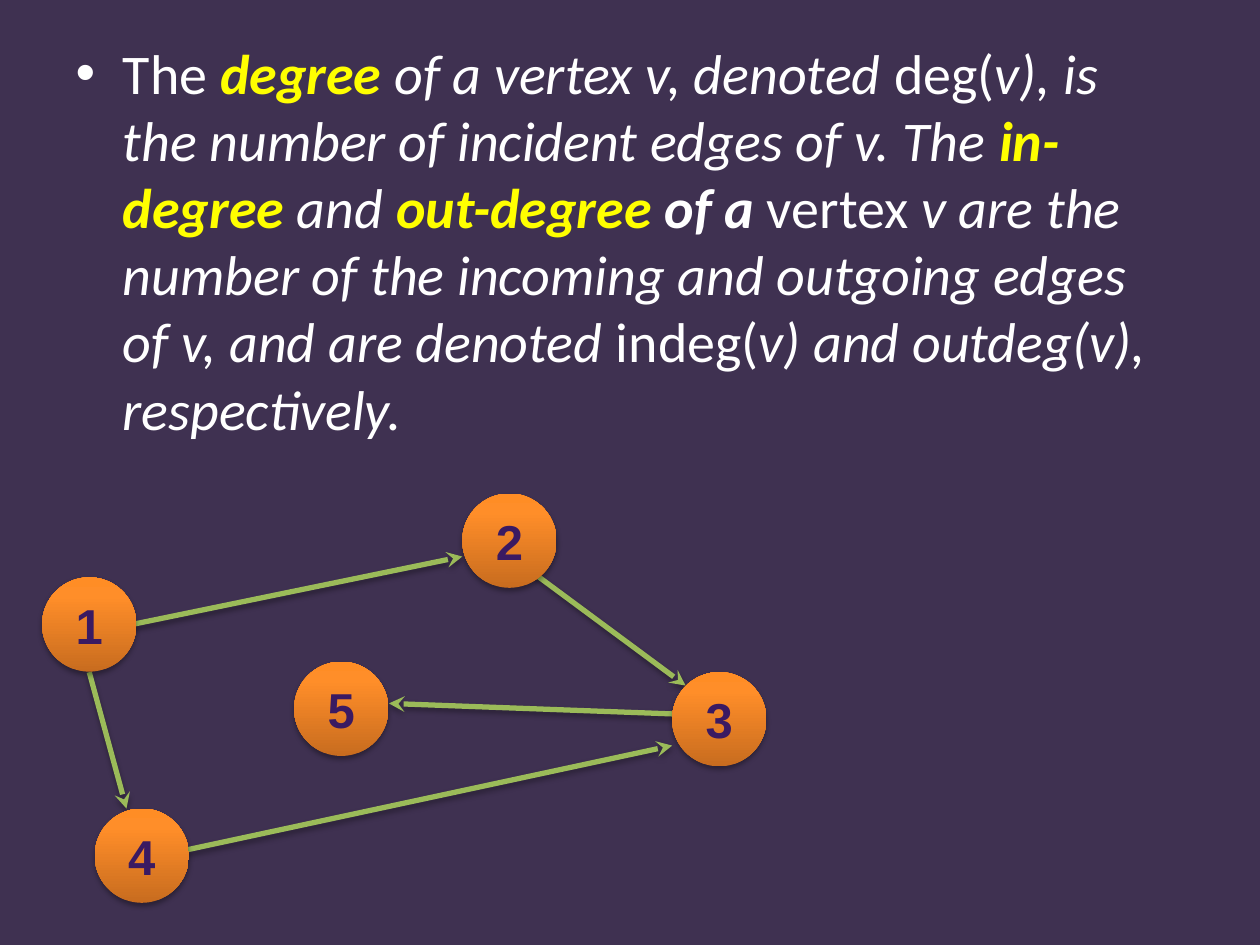
import copy

import lxml.etree
import pptx
import pptx.dml.color
import pptx.enum.shapes
import pptx.enum.text
import pptx.oxml
import pptx.oxml.ns
import pptx.util

Cm = pptx.util.Cm
NAMESPACE = pptx.oxml.ns.nsdecls("a")
qn = pptx.oxml.ns.qn

BACKGROUND, WHITE, YELLOW = "3F3151", "FFFFFF", "FFFF00"
EDGE_COLOR, LABEL_COLOR = "9BBB59", "3A1A62"
NODE_GRADIENT = [(0, "C86C1F"), (0.8, "FF8E29"), (1, "FF8D25")]
NODE_SIZE = 1.9

PLAIN = {"color": WHITE, "bold": False, "italic": False}
ITALIC = {"color": WHITE, "bold": False, "italic": True}
STRONG = {"color": WHITE, "bold": True, "italic": True}
TERM = {"color": YELLOW, "bold": True, "italic": True}
DEFINITION = [
    ("The ", PLAIN),
    ("degree ", TERM),
    ("of a vertex v, denoted ", ITALIC),
    ("deg(", PLAIN),
    ("v), is the number of incident edges of v. The ", ITALIC),
    ("in-degree ", TERM),
    ("and ", ITALIC),
    ("out-degree", TERM),
    (" of a ", STRONG),
    ("vertex ", PLAIN),
    ("v are the number of the incoming and outgoing edges of v, and are denoted ", ITALIC),
    ("indeg(", PLAIN),
    ("v) and outdeg(v), respectively.", ITALIC),
]

NODES = {"1": (0, 1.69), "5": (5.08, 3.39), "4": (1.06, 6.35), "3": (12.7, 3.6), "2": (8.47, 0)}
EDGES = [
    ((1.27, 2.75), (8.47, 1.27)),
    ((1.9, 7.4), (12.7, 5.08)),
    ((12.91, 4.45), (6.99, 4.23)),
    ((0.95, 3.6), (1.7, 6.35)),
    ((9.74, 1.48), (12.97, 3.87)),
]


def rgb(value):
    """Return the colour for a hex string."""
    return pptx.dml.color.RGBColor.from_string(value)


def format_font(font, values):
    """Apply a dict of format values to a font."""
    for name, value in values.items():
        if name == "color":
            font.color.rgb = rgb(value)
        else:
            setattr(font, name, value)


def add_shadow(shape):
    """Give a shape or connector a soft shadow below it."""
    shape._element.spPr.append(pptx.oxml.parse_xml(
        f'<a:effectLst {NAMESPACE}><a:outerShdw blurRad="40000" dist="23000" dir="5400000" '
        'rotWithShape="0"><a:srgbClr val="000000"><a:alpha val="35000"/></a:srgbClr>'
        '</a:outerShdw></a:effectLst>'))


def add_definition(slide, left, top, width, height):
    """Fill the body placeholder with the bulleted definition."""
    body = slide.placeholders[1]
    box = {"left": Cm(left), "top": Cm(top), "width": Cm(width), "height": Cm(height)}
    for name, value in box.items():
        setattr(body, name, value)
    paragraph = body.text_frame.paragraphs[0]
    properties = paragraph._p.get_or_add_pPr()
    properties.set("marL", str(Cm(0.95)))
    properties.set("indent", str(Cm(-0.95)))
    for bullet in (f'<a:buClr {NAMESPACE}><a:srgbClr val="{WHITE}"/></a:buClr>',
                   f'<a:buFont {NAMESPACE} typeface="Arial"/>',
                   f'<a:buChar {NAMESPACE} char="•"/>'):
        properties.append(pptx.oxml.parse_xml(bullet))
    for text, style in DEFINITION:
        run = paragraph.add_run()
        run.text = text
        format_font(run.font, {"name": "Calibri", "size": pptx.util.Pt(32), **style})


def add_edge(slide, left, top, start, end):
    """Draw a directed edge between two points of the graph's box."""
    edge = slide.shapes.add_connector(
        pptx.enum.shapes.MSO_CONNECTOR.STRAIGHT,
        Cm(left + start[0]), Cm(top + start[1]), Cm(left + end[0]), Cm(top + end[1]))
    edge.line.color.rgb = rgb(EDGE_COLOR)
    edge.line.width = pptx.util.Pt(3)
    lxml.etree.SubElement(edge.line._get_or_add_ln(), qn("a:tailEnd"), type="stealth")
    add_shadow(edge)


def add_node(slide, left, top, label):
    """Draw a numbered vertex."""
    node = slide.shapes.add_shape(
        pptx.enum.shapes.MSO_SHAPE.OVAL, Cm(left), Cm(top), Cm(NODE_SIZE), Cm(NODE_SIZE))
    node.fill.gradient()
    node.fill.gradient_angle = 90
    stop_list = node._element.spPr.find(".//" + qn("a:gsLst"))
    stop_list.append(copy.deepcopy(stop_list[-1]))
    for stop, (position, color) in zip(node.fill.gradient_stops, NODE_GRADIENT):
        stop.position = position
        stop.color.rgb = rgb(color)
    node.line.fill.background()
    add_shadow(node)
    frame = node.text_frame
    frame.vertical_anchor = pptx.enum.text.MSO_ANCHOR.MIDDLE
    paragraph = frame.paragraphs[0]
    paragraph.alignment = pptx.enum.text.PP_ALIGN.CENTER
    run = paragraph.add_run()
    run.text = label
    format_font(run.font, {"name": "Arial", "size": pptx.util.Pt(28), "bold": True,
                           "color": LABEL_COLOR})


def add_graph(slide, left, top):
    """Draw the directed graph, edges behind vertices."""
    for start, end in EDGES:
        add_edge(slide, left, top, start, end)
    for label, (x, y) in NODES.items():
        add_node(slide, left + x, top + y, label)


def main():
    """Build and save the slide on vertex degrees."""
    presentation = pptx.Presentation()
    presentation.slide_width = Cm(25.4)
    presentation.slide_height = Cm(19.05)
    slide = presentation.slides.add_slide(presentation.slide_layouts[1])
    title = slide.shapes.title._element
    title.getparent().remove(title)
    slide.background.fill.solid()
    slide.background.fill.fore_color.rgb = rgb(BACKGROUND)
    add_definition(slide, 1.27, 0.64, 22.86, 8.69)
    add_graph(slide, 0.85, 9.95)
    presentation.save("out.pptx")


if __name__ == "__main__":
    main()
